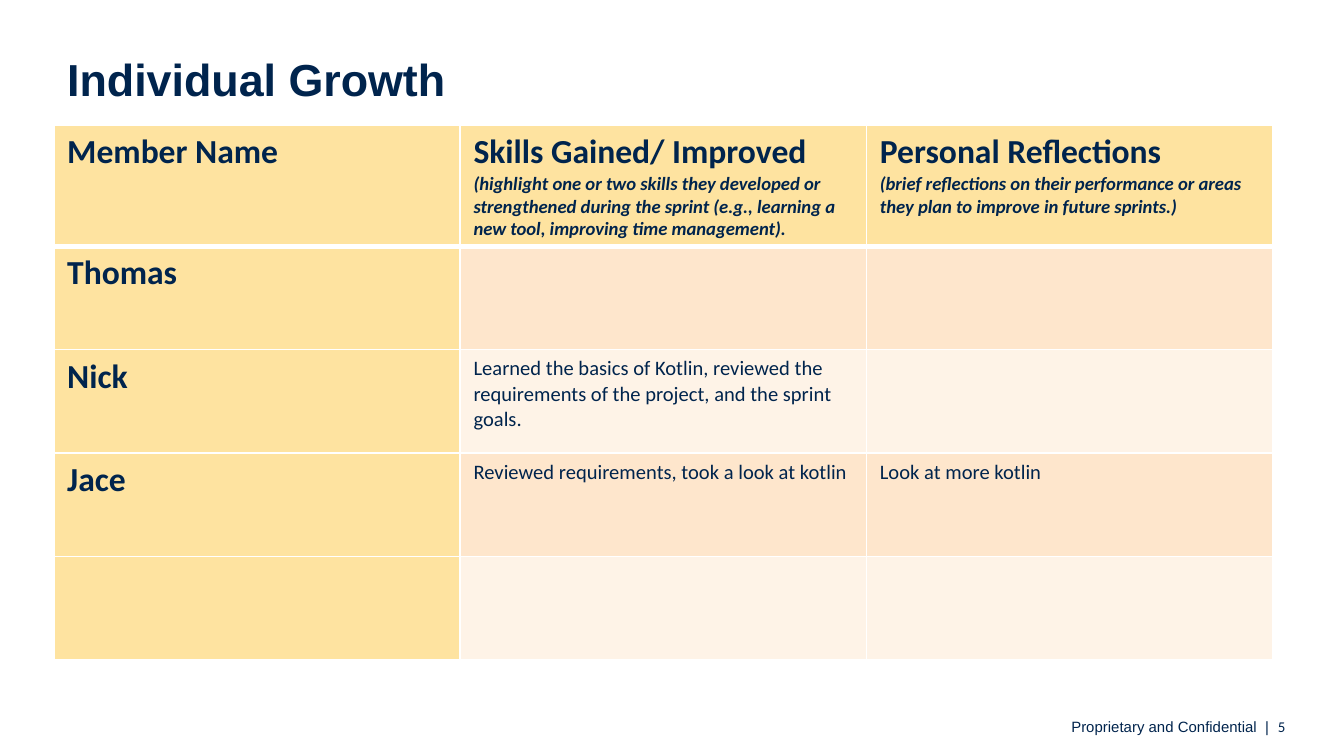
"""Build the Individual Growth slide with its table of team members."""
from typing import NamedTuple

from lxml import etree
from pptx import Presentation
from pptx.dml.color import RGBColor
from pptx.enum.text import MSO_ANCHOR, MSO_AUTO_SIZE, PP_ALIGN
from pptx.oxml.ns import qn
from pptx.util import Inches, Pt

NAVY = RGBColor(0x00, 0x24, 0x4D)
WHITE = RGBColor(0xFF, 0xFF, 0xFF)
GOLD = RGBColor(0xFE, 0xE3, 0xA0)
PEACH = RGBColor(0xFE, 0xE6, 0xCC)
CREAM = RGBColor(0xFE, 0xF3, 0xE7)
MIDDLE = MSO_ANCHOR.MIDDLE
LEFT = PP_ALIGN.LEFT
RIGHT = PP_ALIGN.RIGHT
FIXED = MSO_AUTO_SIZE.NONE
WIDE = Inches(10)
HIGH = WIDE * 9 // 16

TITLE = {"name": "Arial", "size": Pt(24), "bold": True, "italic": False}
HEAD = {"name": "Calibri", "size": Pt(18), "bold": True, "italic": False}
HINT = {**HEAD, "size": Pt(10), "italic": True}
BODY = {**HEAD, "size": Pt(11), "bold": False}
FOOT = {**BODY, "name": "Arial", "size": Pt(8)}
PAGE = {**FOOT, "name": "Calibri"}


class Column(NamedTuple):
    head: str
    hint: str


class Member(NamedTuple):
    name: str
    skills: str
    plans: str


COLUMNS = [
    Column("Member Name", ""),
    Column("Skills Gained/ Improved",
           "(highlight one or two skills they developed or strengthened during "
           "the sprint (e.g., learning a new tool, improving time management)."),
    Column("Personal Reflections",
           "(brief reflections on their performance or areas they plan to "
           "improve in future sprints.)"),
]
MEMBERS = [
    Member("Thomas", "", ""),
    Member("Nick", "Learned the basics of Kotlin, reviewed the requirements of "
           "the project, and the sprint goals.", ""),
    Member("Jace", "Reviewed requirements, took a look at kotlin",
           "Look at more kotlin"),
    Member("", "", ""),
]


def add_run(para, text: str, style: dict) -> None:
    run = para.add_run()
    run.text = text
    for key, value in style.items():
        setattr(run.font, key, value)
    run.font.color.rgb = NAVY


def add_edges(cell, top: float, base: float) -> None:
    props = cell._tc.get_or_add_tcPr()
    for side, width in {"L": 1, "R": 1, "T": top, "B": base}.items():
        line = etree.SubElement(props, qn(f"a:ln{side}"), w=str(Pt(width)))
        fill = etree.SubElement(line, qn("a:solidFill"))
        etree.SubElement(fill, qn("a:srgbClr"), val=str(WHITE))


def fill_cell(cell, parts: list, color: RGBColor,
              top: float = 1, base: float = 1) -> None:
    add_edges(cell, top, base)
    cell.fill.solid()
    cell.fill.fore_color.rgb = color
    frame = cell.text_frame
    for i, (text, style) in enumerate(part for part in parts if part[0]):
        para = frame.add_paragraph() if i else frame.paragraphs[0]
        add_run(para, text, style)


def add_title(slide) -> None:
    title = slide.shapes.title
    box = {"left": 0.4, "top": 0.3, "width": 9.21, "height": 0.62}
    for key, value in box.items():
        setattr(title, key, Inches(value))
    frame = title.text_frame
    frame.auto_size = FIXED
    frame.vertical_anchor = MIDDLE
    para = frame.paragraphs[0]
    para.alignment = LEFT
    para.line_spacing = 0.9
    add_run(para, "Individual Growth", TITLE)


def add_grid(slide) -> None:
    grid = slide.shapes.add_table(
        len(MEMBERS) + 1, len(COLUMNS),
        Inches(0.4), Inches(0.93), Inches(9.07), Inches(3.9)).table
    grid.first_row = grid.horz_banding = False
    for row in grid.rows:
        row.height = Inches(0.77)
    grid.rows[0].height = Inches(0.73)
    for c, column in enumerate(COLUMNS):
        parts = [(column.head, HEAD), (column.hint, HINT)]
        fill_cell(grid.cell(0, c), parts, GOLD, base=3)
    for r, member in enumerate(MEMBERS, 1):
        band = PEACH if r % 2 else CREAM
        top = 3 if r == 1 else 1
        for c, text in enumerate(member):
            style, color = (BODY, band) if c else (HEAD, GOLD)
            fill_cell(grid.cell(r, c), [(text, style)], color, top)


def add_foot(slide) -> None:
    box = slide.shapes.add_textbox(
        Inches(7.78), Inches(5.29), Inches(1.81), Inches(0.24))
    frame = box.text_frame
    frame.word_wrap = True
    frame.margin_right = 0
    para = frame.paragraphs[0]
    para.alignment = RIGHT
    add_run(para, "Proprietary and Confidential  |  ", FOOT)
    add_run(para, "5 ", PAGE)


def main() -> None:
    deck = Presentation()
    deck.slide_width, deck.slide_height = WIDE, HIGH
    slide = deck.slides.add_slide(deck.slide_layouts[5])
    add_foot(slide)
    add_title(slide)
    add_grid(slide)
    deck.save("out.pptx")


if __name__ == "__main__":
    main()
